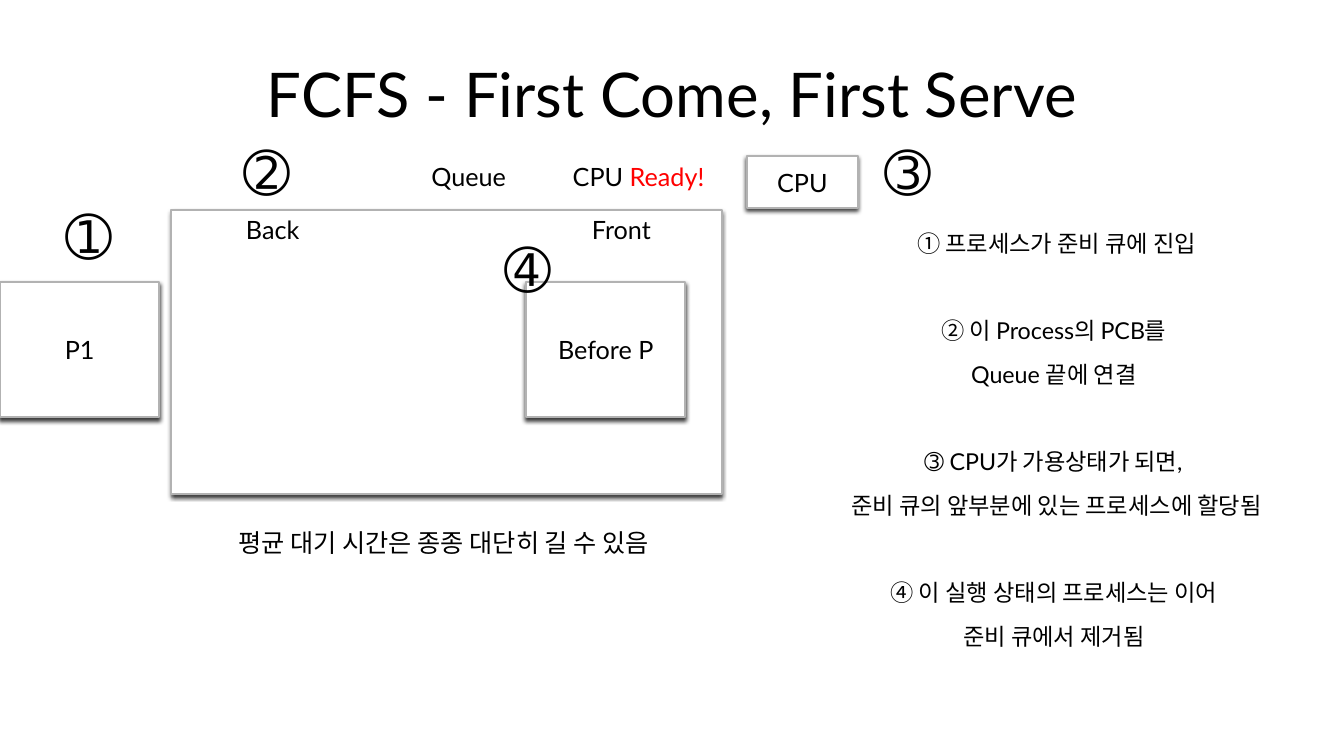
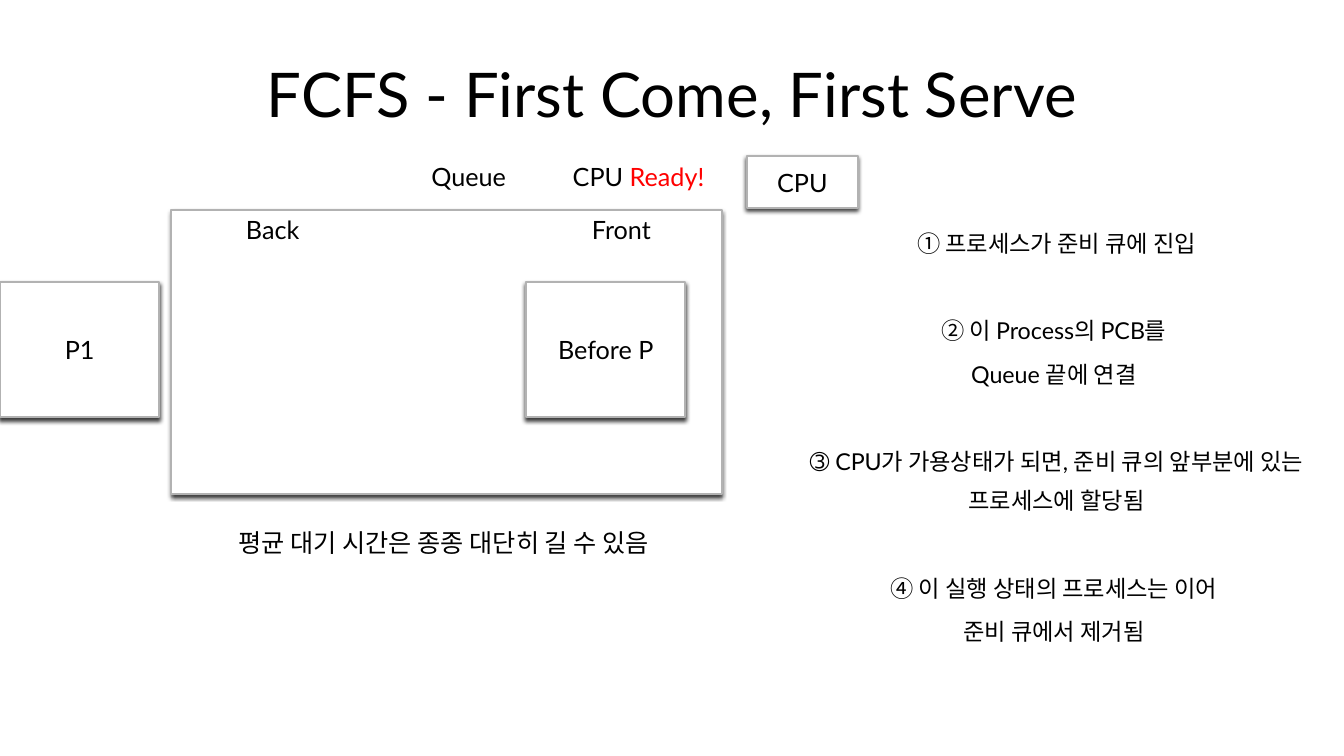
import pptx
import pptx.util
import pptx.dml.color
import pptx.enum.shapes
import pptx.enum.text
import pptx.oxml
import pptx.oxml.ns

Pt = pptx.util.Pt
RGBColor = pptx.dml.color.RGBColor
ANCHOR = pptx.enum.text.MSO_ANCHOR

BLACK = RGBColor(0x00, 0x00, 0x00)
WHITE = RGBColor(0xFF, 0xFF, 0xFF)
GREY = RGBColor(0xB2, 0xB2, 0xB2)
RED = RGBColor(0xFF, 0x00, 0x00)
FONT = "Lato"
STEP_SIZE = 16.6
STEP_LEADING = 1.4
STEP_GAP = 3.3
GROUP_GAP = 34.5

TITLE = ("FCFS - First Come, First Serve", (48.2, 21.6, 864, 90))
CAPTION = ("평균 대기 시간은 종종 대단히 길 수 있음 ", (129.6, 362.2, 378.7, 49.7))
STEPS_AT = (565.2, 152.2, 378.7, 346.8)
BOXES = [
    ("", (122.4, 149.8, 393.1, 203)),
    ("P1", (0, 201.6, 113.8, 96.5)),
    ("Before P", (375.8, 201.6, 113.8, 96.5)),
    ("CPU", (533.5, 111.6, 79.2, 36.7)),
]
LABELS = [
    ([("Queue", BLACK)], (262.1, 111.6, 145.4, 28.8)),
    ([("Back", BLACK)], (158.4, 149.8, 72.7, 28.8)),
    ([("Front", BLACK)], (407.5, 149.8, 72.7, 28.8)),
    ([("CPU ", BLACK), ("Ready!", RED)], (396.7, 111.6, 118.8, 28.8)),
]
MARKERS = [
    ("➀", (39.6, 140.4, 35.3, 54.7)),
    ("➁", (167, 95, 45.4, 54.7)),
    ("➂", (625, 95, 45.4, 54.7)),
    ("➃", (353.5, 164.2, 45.4, 54.7)),
]
ENTER = ["➀ 프로세스가 준비 큐에 진입"]
LINK = ["➁ 이 Process의 PCB를 ", "Queue 끝에 연결 "]
REMOVE = ["➃ 이 실행 상태의 프로세스는 이어 ", "준비 큐에서 제거됨 "]
ASSIGN_SPLIT = ["➂ CPU가 가용상태가 되면, ", "준비 큐의 앞부분에 있는 프로세스에 할당됨"]
ASSIGN_JOINED = ["➂ CPU가 가용상태가 되면, 준비 큐의 앞부분에 있는 프로세스에 할당됨"]
SLIDES = [
    {"steps": [ENTER, LINK, ASSIGN_SPLIT, REMOVE], "markers": MARKERS},
    {"steps": [ENTER, LINK, ASSIGN_JOINED, REMOVE], "markers": []},
]
SHADOW = (
    '<a:outerShdw %s blurRad="38100" dist="25400" dir="5400000" rotWithShape="0">'
    '<a:srgbClr val="000000"><a:alpha val="75000"/></a:srgbClr></a:outerShdw>'
    % pptx.oxml.ns.nsdecls("a")
)


def set_all(obj, values):
    for name, value in values.items():
        setattr(obj, name, value)


def write(p, runs, size, **spacing):
    set_all(p, {"alignment": pptx.enum.text.PP_ALIGN.CENTER, **spacing})
    for text, color in runs:
        r = p.add_run()
        r.text = text
        set_all(r.font, {"name": FONT, "size": Pt(size)})
        r.font.color.rgb = color


def add_text(s, at, anchor=ANCHOR.TOP):
    tf = s.shapes.add_textbox(*map(Pt, at)).text_frame
    set_all(tf, {"word_wrap": True, "vertical_anchor": anchor})
    return tf


def add_label(s, runs, at, size):
    tf = add_text(s, at)
    tf.auto_size = pptx.enum.text.MSO_AUTO_SIZE.SHAPE_TO_FIT_TEXT
    write(tf.paragraphs[0], runs, size)


def add_box(s, text, at):
    sp = s.shapes.add_shape(pptx.enum.shapes.MSO_SHAPE.RECTANGLE, *map(Pt, at))
    sp.fill.solid()
    sp.fill.fore_color.rgb = WHITE
    sp.line.color.rgb = GREY
    sp.line.width = Pt(1.5)
    sp.shadow.inherit = False
    effects = sp._element.spPr.find(pptx.oxml.ns.qn("a:effectLst"))
    effects.append(pptx.oxml.parse_xml(SHADOW))
    if text:
        sp.text_frame.vertical_anchor = ANCHOR.MIDDLE
        write(sp.text_frame.paragraphs[0], [(text, BLACK)], 18)


def add_steps(s, groups):
    tf = add_text(s, STEPS_AT)
    for g, lines in enumerate(groups):
        for i, line in enumerate(lines):
            first = g == 0 and i == 0
            p = tf.paragraphs[0] if first else tf.add_paragraph()
            gap = 0 if first else STEP_GAP if i else GROUP_GAP
            write(p, [(line, BLACK)], STEP_SIZE,
                  line_spacing=STEP_LEADING, space_before=Pt(gap))


def build_slide(prs, content):
    s = prs.slides.add_slide(prs.slide_layouts[6])
    title, at = TITLE
    write(add_text(s, at, ANCHOR.MIDDLE).paragraphs[0], [(title, BLACK)], 44)
    add_steps(s, content["steps"])
    for text, at in BOXES:
        add_box(s, text, at)
    for runs, at in LABELS:
        add_label(s, runs, at, 18)
    caption, at = CAPTION
    write(add_text(s, at).paragraphs[0], [(caption, BLACK)], 18,
          line_spacing=1.5, space_before=Pt(3.6))
    for mark, at in content["markers"]:
        add_label(s, [(mark, BLACK)], at, 40)


def main():
    prs = pptx.Presentation()
    set_all(prs, {"slide_width": Pt(960), "slide_height": Pt(540)})
    for content in SLIDES:
        build_slide(prs, content)
    prs.save("out.pptx")


if __name__ == "__main__":
    main()
